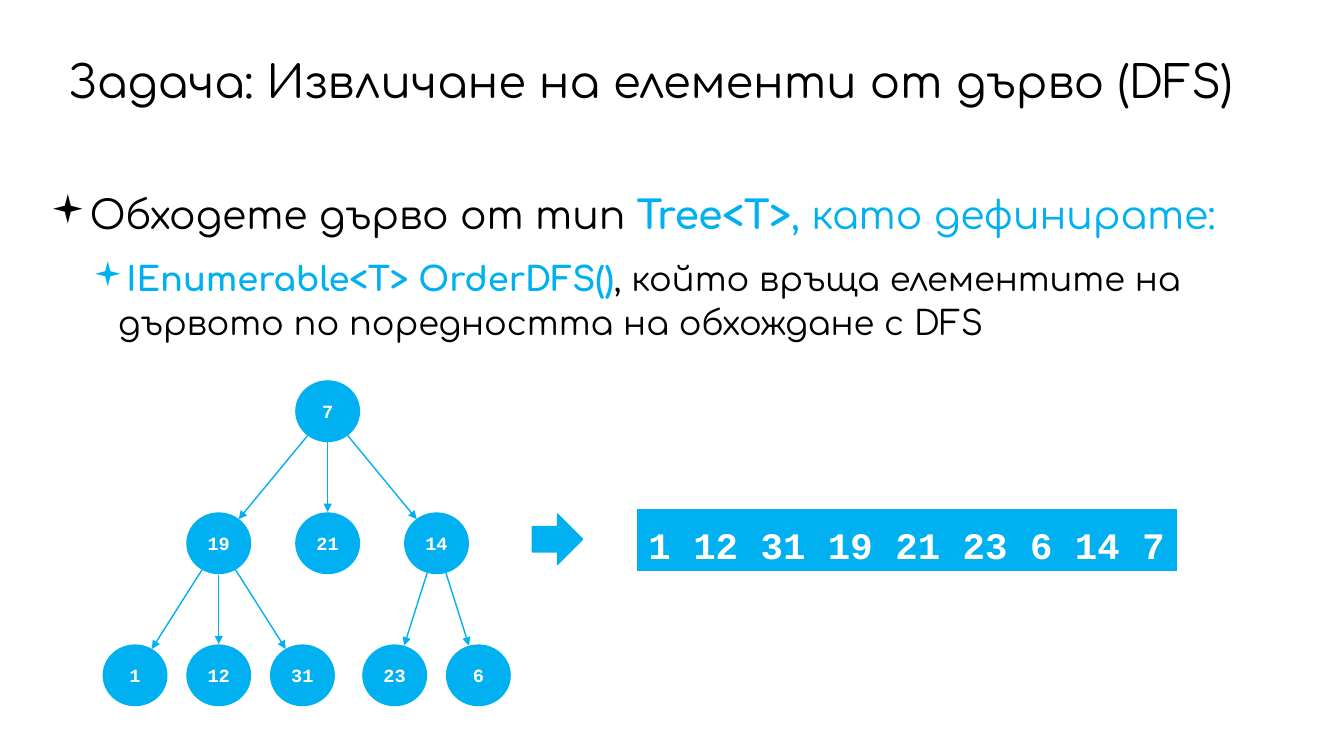
from math import hypot

from lxml.etree import SubElement
from pptx import Presentation
from pptx.dml.color import RGBColor
from pptx.enum.shapes import MSO_CONNECTOR as Connector, MSO_SHAPE as Shape
from pptx.enum.text import MSO_ANCHOR as Anchor, PP_ALIGN as Align
from pptx.oxml.ns import qn
from pptx.util import Inches, Pt

BLUE = RGBColor(0x00, 0xB0, 0xF0)
BLACK = RGBColor(0, 0, 0)
WHITE = RGBColor(255, 255, 255)
HEAD, CODE = "Comfortaa", "Courier New"

# Content: runs are (text, colour, bold)
TITLE = "Задача: Извличане на елементи от дърво (DFS)"
TASK = [
    {"size": 28, "indent": 0.33, "hang": 0.33, "before": 0, "runs": [
        ("Обходете дърво от тип ", BLACK, False),
        ("Tree<T>", BLUE, True),
        (", като дефинирате:", BLUE, False)]},
    {"size": 24, "indent": 0.67, "hang": 0.25, "before": 12, "runs": [
        ("IEnumerable<T> OrderDFS()", BLUE, True),
        (", който връща елементите на дървото по поредността на обхождане с DFS",
         BLACK, False)]},
]
TREE = ("7", [
    ("19", [("1", []), ("12", []), ("31", [])]),
    ("21", []),
    ("14", [("23", []), ("6", [])]),
])
VISITED = "1 12 31 19 21 23 6 14 7"

# Tree layout in inches
ROOT_X, ROOT_Y, LEVEL_GAP = 3.25, 4.08, 1.31
SIBLING_GAPS = (1.08, 0.83)
NODE_W, NODE_H, REACH = 0.63, 0.6, 0.31

prs = Presentation()
prs.slide_width, prs.slide_height = Inches(13.33), Inches(7.5)
slide = prs.slides.add_slide(prs.slide_layouts[6])


def write(paragraph, text, **font):
    run = paragraph.add_run()
    run.text = text
    run.font.color.rgb = font.pop("color")
    for key, value in font.items():
        setattr(run.font, key, value)


def add_text_area(left, top, width, height, anchor):
    frame = slide.shapes.add_textbox(*map(Inches, (left, top, width, height))).text_frame
    layout = {"word_wrap": True, "vertical_anchor": anchor,
              "margin_left": Inches(0.12), "margin_right": Inches(0.12),
              "margin_top": Inches(0.04), "margin_bottom": Inches(0.04)}
    for key, value in layout.items():
        setattr(frame, key, value)
    return frame


def add_blue(kind, left, top, width, height):
    shape = slide.shapes.add_shape(kind, *map(Inches, (left, top, width, height)))
    shape.shadow.inherit = False
    shape.fill.solid()
    shape.fill.fore_color.rgb = shape.line.color.rgb = BLUE
    shape.line.width = Pt(1)
    return shape


def label(shape, text, size, anchor, spacing):
    frame = shape.text_frame
    frame.vertical_anchor = anchor
    paragraph = frame.paragraphs[0]
    paragraph.alignment, paragraph.line_spacing = Align.CENTER, spacing
    write(paragraph, text, name=CODE, size=Pt(size), bold=True, color=WHITE)


def add_edge(x1, y1, x2, y2):
    """Arrow between two node centres, trimmed to the node outlines."""
    share = REACH / hypot(x2 - x1, y2 - y1)
    dx, dy = (x2 - x1) * share, (y2 - y1) * share
    edge = slide.shapes.add_connector(
        Connector.STRAIGHT, *map(Inches, (x1 + dx, y1 + dy, x2 - dx, y2 - dy)))
    edge.line.color.rgb, edge.line.width = BLUE, Pt(1)
    SubElement(edge.line._get_or_add_ln(), qn("a:tailEnd"), type="triangle")
    SubElement(edge._element.spPr, qn("a:effectLst"))


def draw_tree(node, x, y, level=0):
    value, children = node
    for i, child in enumerate(children):
        child_x = x + (i - (len(children) - 1) / 2) * SIBLING_GAPS[level]
        add_edge(x, y, child_x, y + LEVEL_GAP)
        draw_tree(child, child_x, y + LEVEL_GAP, level + 1)
    circle = add_blue(Shape.OVAL, x - NODE_W / 2, y - NODE_H / 2, NODE_W, NODE_H)
    label(circle, value, 13.3, Anchor.MIDDLE, 1.0)


# Task description
task = add_text_area(0.38, 1.8, 11.99, 2.02, Anchor.TOP)
for level, item in enumerate(TASK):
    paragraph = task.add_paragraph() if level else task.paragraphs[0]
    paragraph.level, paragraph.line_spacing = level, 1.1
    paragraph.space_before = Pt(item["before"])
    props = paragraph._p.get_or_add_pPr()
    props.set("marL", str(Inches(item["indent"])))
    props.set("indent", str(-Inches(item["hang"])))
    SubElement(props, qn("a:buFont"), typeface="Wingdings")
    SubElement(props, qn("a:buChar"), char="▪")
    for text, color, bold in item["runs"]:
        write(paragraph, text, name=HEAD, size=Pt(item["size"]), bold=bold, color=color)

# Title
heading = add_text_area(0.56, 0.25, 11.99, 1.17, Anchor.MIDDLE).paragraphs[0]
heading.line_spacing = 0.9
write(heading, TITLE, name=HEAD, size=Pt(32), color=BLACK)

# Tree, arrow and visiting order
draw_tree(TREE, ROOT_X, ROOT_Y)
add_blue(Shape.RIGHT_ARROW, 5.28, 5.1, 0.5, 0.5)
order = add_blue(Shape.RECTANGLE, 6.32, 5.06, 5.35, 0.6)
label(order, VISITED, 26.7, Anchor.TOP, 1.15)

prs.save("out.pptx")
